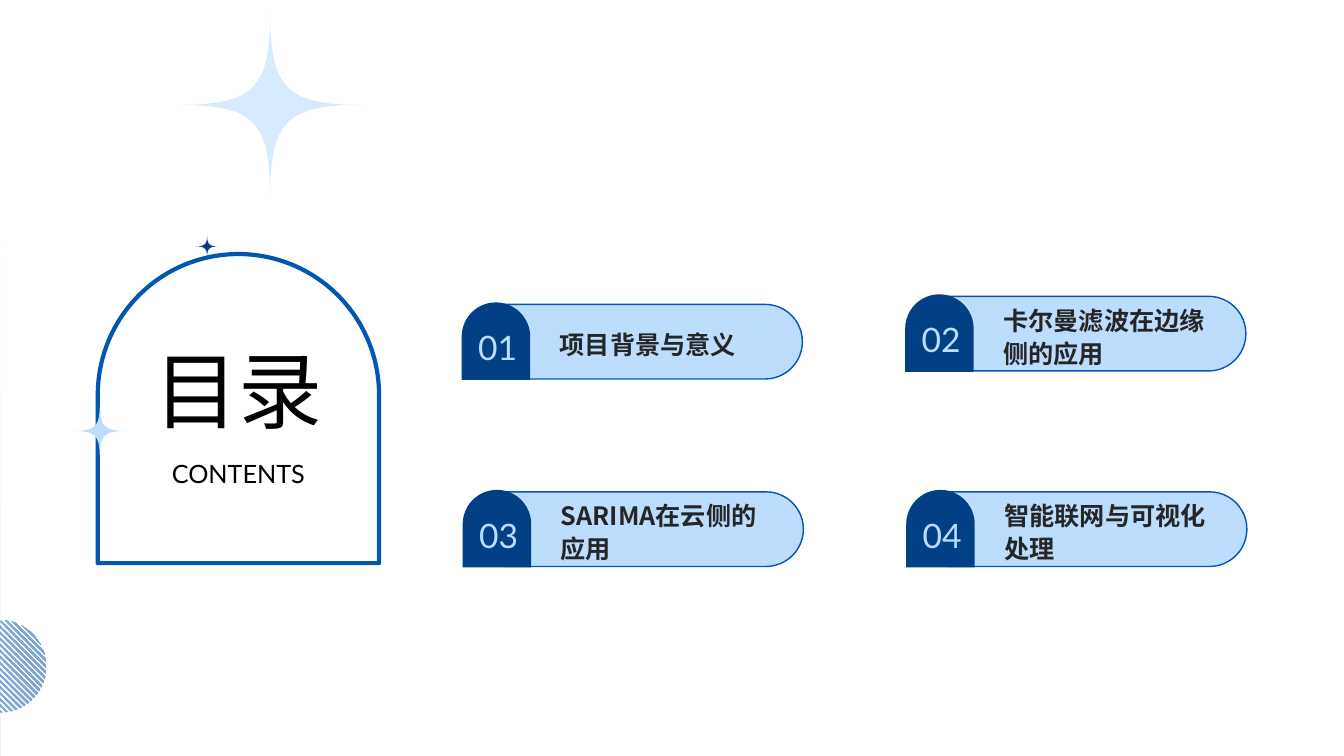
"""Build a contents slide with an arched title panel and four numbered section pills."""
import dataclasses
import math
import typing

import lxml.etree
import pptx
import pptx.dml.color
import pptx.enum.shapes
import pptx.enum.text
import pptx.oxml.ns
import pptx.util

COLS, ROWS = 160, 90
CELL = 76200
FINE = 100
SHAPE = pptx.enum.shapes.MSO_SHAPE
ALIGN = pptx.enum.text.PP_ALIGN
Point = tuple[float, float]


@dataclasses.dataclass(frozen=True)
class Theme:
    white: str = "FFFFFF"
    black: str = "000000"
    ink: str = "262626"
    pale: str = "BDDDFE"
    sky: str = "7CBAFE"
    bright: str = "3A98FD"
    blue: str = "0256B0"
    deep: str = "024D9E"
    navy: str = "014084"
    latin: str = "Lato"
    cjk: str = "Noto Sans CJK SC"
    title: int = 60
    number: int = 24
    body: int = 18


T = Theme()


@dataclasses.dataclass(frozen=True)
class Box:
    col: float
    row: float
    cols: float
    rows: float

    def emu(self) -> list[int]:
        return [round(v * CELL) for v in dataclasses.astuple(self)]


@dataclasses.dataclass(frozen=True)
class Section:
    number: str
    label: str
    col: float
    row: float


@dataclasses.dataclass(frozen=True)
class Sparkle:
    col: float
    row: float
    reach: float
    color: str
    opacity: int = 100


SECTIONS = [
    Section("01", "项目背景与意义", 54.96, 36),
    Section("02", "卡尔曼滤波在边缘侧的应用", 107.76, 35.04),
    Section("03", "SARIMA在云侧的应用", 55.08, 58.32),
    Section("04", "智能联网与可视化处理", 107.88, 58.32),
]
ARCH_SPARKLE = Sparkle(24.66, 29.34, 1.38, T.navy)
SPARKLES = [
    Sparkle(32.16, 12.48, 10.92, T.bright, 20),
    Sparkle(11.88, 51.3, 3.12, T.pale),
]


def rgb(color: str) -> pptx.dml.color.RGBColor:
    return pptx.dml.color.RGBColor.from_string(color)


def set_opacity(clr: typing.Any, percent: int) -> None:
    if percent < 100:
        alpha = lxml.etree.SubElement(clr, pptx.oxml.ns.qn("a:alpha"))
        alpha.set("val", str(percent * 1000))


def style(sp: typing.Any, fill: str, opacity: int = 100,
          line: str = "", weight: float = 0) -> None:
    sp.shadow.inherit = False
    sp.fill.solid()
    sp.fill.fore_color.rgb = rgb(fill)
    for clr in sp._element.spPr.iter(pptx.oxml.ns.qn("a:srgbClr")):
        set_opacity(clr, opacity)
    if line:
        sp.line.color.rgb = rgb(line)
        sp.line.width = pptx.util.Pt(weight)
    else:
        sp.line.fill.background()


def style_gradient(sp: typing.Any, stops: list[tuple[float, str, int]], angle: float) -> None:
    sp.shadow.inherit = False
    sp.line.fill.background()
    sp.fill.gradient()
    sp.fill.gradient_angle = angle
    for stop, (position, color, _) in zip(sp.fill.gradient_stops, stops):
        stop.position = position
        stop.color.rgb = rgb(color)
    colors = list(sp._element.spPr.iter(pptx.oxml.ns.qn("a:srgbClr")))
    for clr, (_, _, opacity) in zip(colors, stops):
        set_opacity(clr, opacity)


def add_preset(s: typing.Any, kind: typing.Any, box: Box, round_off: bool = False) -> typing.Any:
    sp = s.shapes.add_shape(kind, *box.emu())
    if round_off:
        sp.adjustments[0] = 0.5
    return sp


def add_outline(s: typing.Any, contours: list[list[Point]]) -> typing.Any:
    fine = [[(x * FINE, y * FINE) for x, y in contour] for contour in contours]
    builder = s.shapes.build_freeform(*fine[0][0], scale=CELL / FINE)
    builder.add_line_segments(fine[0][1:], close=True)
    for contour in fine[1:]:
        builder.move_to(*contour[0])
        builder.add_line_segments(contour[1:], close=True)
    return builder.convert_to_shape()


def add_sparkle(s: typing.Any, sparkle: Sparkle, pinch: float = 0.18, steps: int = 24) -> None:
    points: list[Point] = []
    for quarter in range(4):
        c, n = round(math.cos(quarter * math.pi / 2)), round(math.sin(quarter * math.pi / 2))
        for step in range(steps):
            t = step / steps
            x = (1 - t) ** 3 + 3 * t * (1 - t) ** 2 * pinch
            y = t ** 3 + 3 * t ** 2 * (1 - t) * pinch
            points.append((sparkle.col + sparkle.reach * (c * x - n * y),
                           sparkle.row + sparkle.reach * (n * x + c * y)))
    style(add_outline(s, [points]), sparkle.color, sparkle.opacity)


def add_hatched_disc(s: typing.Any, row: float, radius: float, pitch: float, count: int) -> None:
    def chord(offset: float) -> list[Point]:
        half = math.sqrt(max(0, 2 * radius ** 2 - offset ** 2))
        ends = [max(0, (-offset - half) / 2), max(0, (-offset + half) / 2)]
        return [(x, row + x + offset) for x in ends]

    tops = [radius - pitch / 2 - i * pitch for i in range(count)]
    stripes = [chord(top) + chord(top + pitch / 2)[::-1] for top in tops]
    style_gradient(add_outline(s, stripes), [(0, T.blue, 50), (1, T.deep, 50)], 0)


def add_text(s: typing.Any, box: Box, text: str, font: str, size: int, color: str,
             align: typing.Any = ALIGN.CENTER, bold: bool = False) -> None:
    tf = s.shapes.add_textbox(*box.emu()).text_frame
    tf.word_wrap = True
    tf.vertical_anchor = pptx.enum.text.MSO_ANCHOR.MIDDLE
    p = tf.paragraphs[0]
    p.alignment = align
    p.line_spacing = 1.1
    r = p.add_run()
    r.text = text
    r.font.size = pptx.util.Pt(size)
    r.font.bold = bold
    r.font.color.rgb = rgb(color)
    r.font.name = font
    ea = lxml.etree.SubElement(r.font._element, pptx.oxml.ns.qn("a:ea"))
    ea.set("typeface", T.cjk)


def add_section(s: typing.Any, section: Section) -> None:
    def place(dx: float, dy: float, cols: float, rows: float) -> Box:
        return Box(section.col + dx, section.row + dy, cols, rows)

    pill = add_preset(s, SHAPE.ROUNDED_RECTANGLE, place(0.72, 0.24, 39.84, 8.88), True)
    style(pill, T.pale, line=T.blue, weight=1)
    add_text(s, place(10.5, 0.42, 28.08, 8.88), section.label, T.cjk, T.body, T.ink,
             ALIGN.LEFT, True)
    badge = add_preset(s, SHAPE.ROUND_2_SAME_RECTANGLE, place(0, 0, 8.16, 9.24), True)
    style(badge, T.navy)
    add_text(s, place(0.2, 0.66, 8.16, 8.88), section.number, T.latin, T.number, T.pale)


def main() -> None:
    prs = pptx.Presentation()
    prs.slide_width, prs.slide_height = COLS * CELL, ROWS * CELL
    s = prs.slides.add_slide(prs.slide_layouts[6])
    backdrop = add_preset(s, SHAPE.RECTANGLE, Box(0, 0, COLS, ROWS))
    style_gradient(backdrop, [(0.32, T.pale, 0), (1, T.sky, 20)], 270)
    style(add_preset(s, SHAPE.RECTANGLE, Box(0.12, 0, COLS - 0.12, ROWS)), T.white)
    arch = add_preset(s, SHAPE.ROUND_2_SAME_RECTANGLE, Box(11.64, 30.24, 33.48, 36.8), True)
    style(arch, T.white, 30, T.blue, 3)
    add_hatched_disc(s, 79.32, 5.52, 0.72, 19)
    for section in SECTIONS:
        add_section(s, section)
    add_sparkle(s, ARCH_SPARKLE)
    add_text(s, Box(12.6, 37.08, 31.56, 17.16), "目录", T.latin, T.title, T.black)
    for sparkle in SPARKLES:
        add_sparkle(s, sparkle)
    add_text(s, Box(12.6, 51.48, 31.56, 9.48), "CONTENTS", T.latin, T.body, T.black)
    prs.save("out.pptx")


if __name__ == "__main__":
    main()
